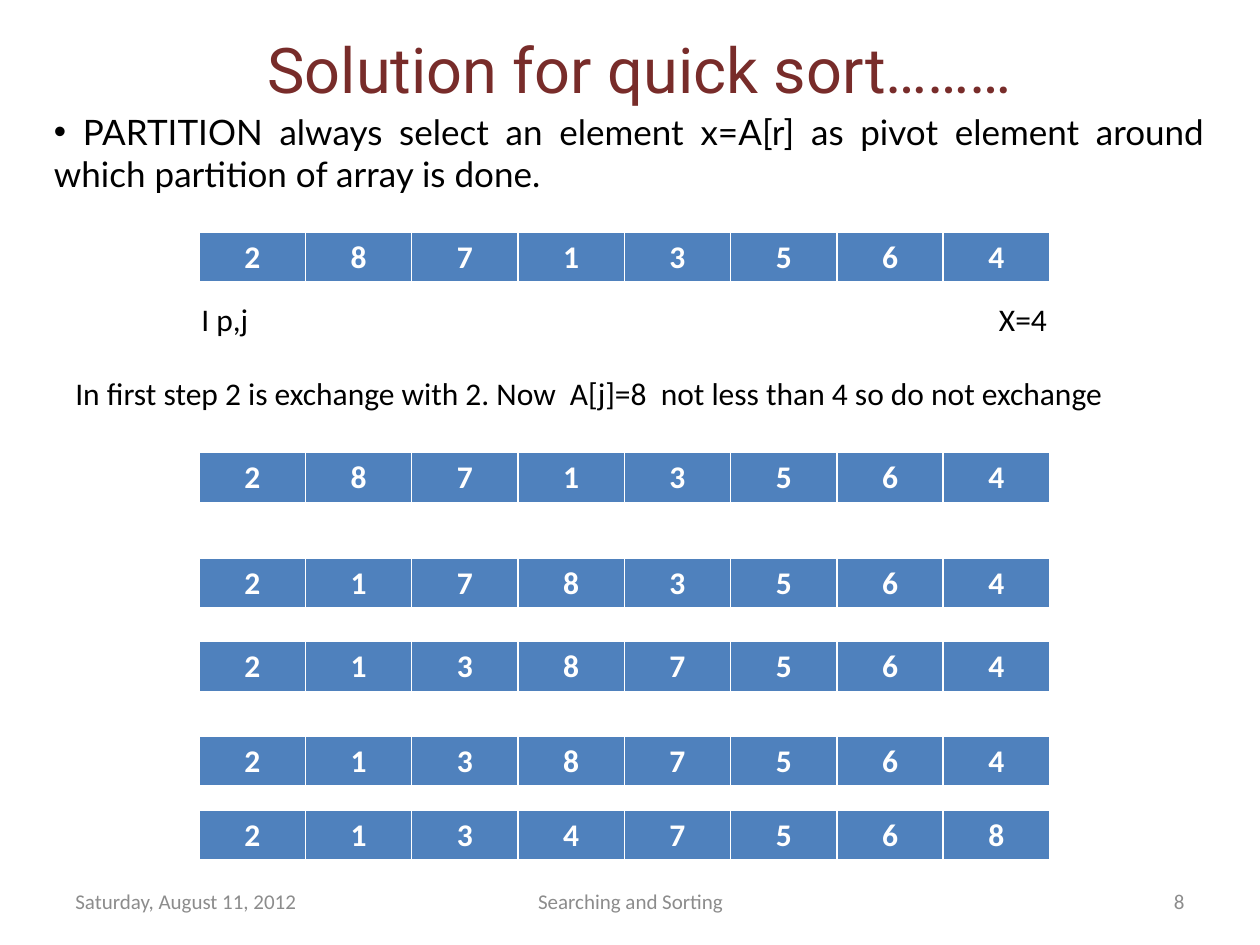
from dataclasses import dataclass

from lxml import etree
from pptx import Presentation
from pptx.dml.color import RGBColor
from pptx.enum.text import MSO_ANCHOR, PP_ALIGN
from pptx.oxml.ns import qn
from pptx.util import Inches, Pt

MAROON = RGBColor(0x78, 0x2C, 0x2A)
BLACK = RGBColor(0, 0, 0)
WHITE = RGBColor(0xFF, 0xFF, 0xFF)
GRAY = RGBColor(0x8C, 0x8C, 0x8C)
BLUE = RGBColor(0x4F, 0x81, 0xBD)

ARRAY_LEFT, ARRAY_WIDTH, ARRAY_HEIGHT = 1.58, 6.75, 0.41
BORDERS = {"a:lnL": 1, "a:lnR": 1, "a:lnT": 1, "a:lnB": 3}


@dataclass
class Label:
    text: str
    left: float
    top: float
    width: float
    height: float = 0.4
    size: int = 18
    font: str = "Calibri"
    color: RGBColor = BLACK
    align: PP_ALIGN = PP_ALIGN.LEFT
    anchor: MSO_ANCHOR = MSO_ANCHOR.TOP


@dataclass
class ArrayState:
    top: float
    values: str


def place(sp, label: Label):
    """Position a text shape, fill in its text and return the paragraph."""
    sp.left, sp.top = Inches(label.left), Inches(label.top)
    sp.width, sp.height = Inches(label.width), Inches(label.height)
    tf = sp.text_frame
    tf.word_wrap = True
    tf.vertical_anchor = label.anchor
    p = tf.paragraphs[0]
    p.text = label.text
    p.alignment = label.align
    p.font.size, p.font.name = Pt(label.size), label.font
    p.font.color.rgb = label.color
    return p


def add_label(s, label: Label):
    return place(s.shapes.add_textbox(0, 0, 0, 0), label)


def add_bullet(p) -> None:
    pPr = p._p.get_or_add_pPr()
    pPr.set("marL", "0")
    pPr.set("indent", "0")
    font = etree.Element(qn("a:buFont"), typeface="Arial")
    char = etree.Element(qn("a:buChar"), char="•")
    at = 1 if pPr.find(qn("a:spcBef")) is not None else 0
    pPr.insert(at, font)
    pPr.insert(at + 1, char)


def add_borders(cell) -> None:
    tcPr = cell._tc.get_or_add_tcPr()
    for tag, width in BORDERS.items():
        ln = etree.SubElement(tcPr, qn(tag), w=str(Pt(width)))
        fill = etree.SubElement(ln, qn("a:solidFill"))
        etree.SubElement(fill, qn("a:srgbClr"), val=str(WHITE))


def add_array(s, state: ArrayState) -> None:
    table = s.shapes.add_table(
        1, len(state.values), Inches(ARRAY_LEFT), Inches(state.top),
        Inches(ARRAY_WIDTH), Inches(ARRAY_HEIGHT)).table
    for cell, value in zip(table.iter_cells(), state.values):
        add_borders(cell)
        cell.fill.solid()
        cell.fill.fore_color.rgb = BLUE
        cell.text = value
        p = cell.text_frame.paragraphs[0]
        p.alignment = PP_ALIGN.CENTER
        p.font.size, p.font.name, p.font.bold = Pt(18), "Calibri", True
        p.font.color.rgb = WHITE


TITLE = Label("Solution for quick sort………", 0.83, 0.17, 8.5, 0.75, 36, "Roboto",
              MAROON, PP_ALIGN.CENTER, MSO_ANCHOR.MIDDLE)
INTRO = Label(" PARTITION always select an element x=A[r] as pivot element "
              "around which partition of array is done. ",
              0.33, 0.83, 9.33, 0.75, 20, "Lato", align=PP_ALIGN.JUSTIFY)
NOTES = [
    Label("I p,j", 1.5, 2.33, 0.67),
    Label("X=4", 7.83, 2.33, 1.08),
    Label("In first step 2 is exchange with 2. Now  A[j]=8  not less than 4 "
          "so do not exchange", 0.5, 2.92, 9.17),
]
STATES = [
    ArrayState(1.84, "28713564"),
    ArrayState(3.59, "28713564"),
    ArrayState(4.43, "21783564"),
    ArrayState(5.09, "21387564"),
    ArrayState(5.84, "21387564"),
    ArrayState(6.43, "21347568"),
]
FOOTERS = [
    Label(text, left, 6.95, width, size=12, color=GRAY, align=align,
          anchor=MSO_ANCHOR.MIDDLE)
    for text, left, width, align in [
        ("Saturday, August 11, 2012", 0.5, 2.33, PP_ALIGN.LEFT),
        ("Searching and Sorting", 3.42, 3.17, PP_ALIGN.CENTER),
        ("8", 7.17, 2.33, PP_ALIGN.RIGHT),
    ]
]


def main() -> None:
    prs = Presentation()
    prs.slide_width, prs.slide_height = Inches(10), Inches(7.5)
    s = prs.slides.add_slide(prs.slide_layouts[5])

    # Title and introduction
    place(s.shapes.title, TITLE)
    intro = add_label(s, INTRO)
    intro.space_before = Pt(4)
    add_bullet(intro)

    # Array after each step
    for state in STATES:
        add_array(s, state)

    # Remarks and footer
    for label in NOTES + FOOTERS:
        add_label(s, label)

    prs.save("out.pptx")


if __name__ == "__main__":
    main()
